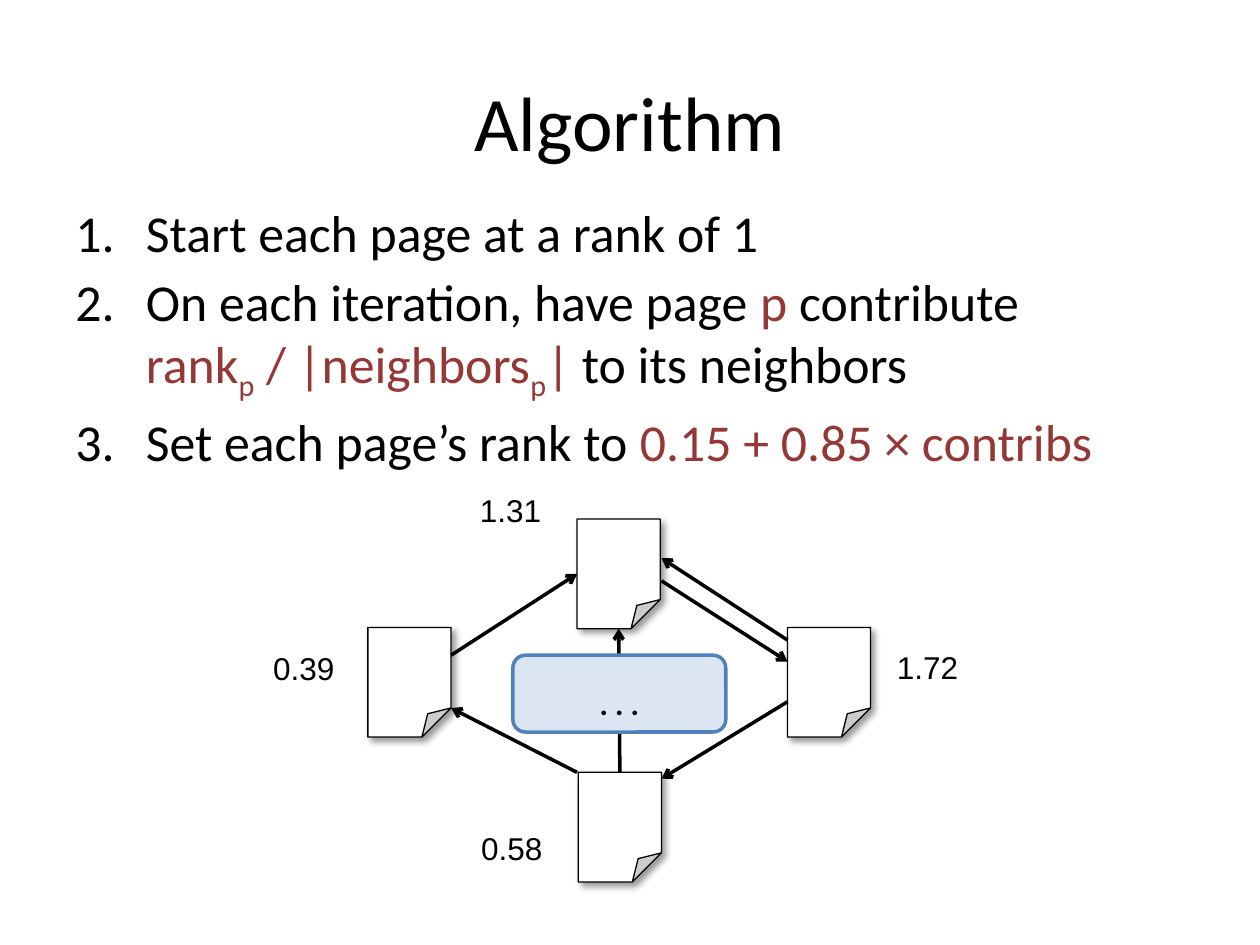
import pptx
import pptx.util
import pptx.dml.color
import pptx.enum.shapes
import pptx.enum.text
import pptx.oxml
import pptx.oxml.ns
from pptx.util import Inches

BLACK, WHITE, RED = "000000", "FFFFFF", "953735"
PAGE_WIDTH, PAGE_HEIGHT = 0.66, 0.87
SHAPES = pptx.enum.shapes.MSO_SHAPE
ALIGN = pptx.enum.text.PP_ALIGN
ANCHOR = pptx.enum.text.MSO_ANCHOR


def color(value):
    """Turn a hex string into a colour."""
    return pptx.dml.color.RGBColor.from_string(value)


def set_font(font, size, name, value=BLACK, bold=False):
    """Give a font its size, face, colour and weight."""
    font.size = pptx.util.Pt(size)
    font.name = name
    font.color.rgb = color(value)
    font.bold = bold


def add_effects(shape, content=""):
    """Give a shape its own effect list, empty by default."""
    namespace = pptx.oxml.ns.nsdecls("a")
    effects = pptx.oxml.parse_xml(f"<a:effectLst {namespace}>{content}</a:effectLst>")
    shape._element.spPr.append(effects)


def add_text(slide, text, box, size, name, align=ALIGN.LEFT, anchor=ANCHOR.TOP, wrap=True):
    """Add a text box holding one paragraph."""
    shape = slide.shapes.add_textbox(*map(Inches, box))
    frame = shape.text_frame
    frame.word_wrap = wrap
    frame.vertical_anchor = anchor
    frame.text = text
    paragraph = frame.paragraphs[0]
    paragraph.alignment = align
    set_font(paragraph.runs[0].font, size, name)


def add_steps(slide, steps, box):
    """Add a numbered list whose steps are made of coloured pieces."""
    frame = slide.shapes.add_textbox(*map(Inches, box)).text_frame
    frame.word_wrap = True
    for index, pieces in enumerate(steps):
        paragraph = frame.add_paragraph() if index else frame.paragraphs[0]
        properties = paragraph._p.get_or_add_pPr()
        properties.set("marL", str(Inches(0.56)))
        properties.set("indent", str(Inches(-0.56)))
        namespace = pptx.oxml.ns.nsdecls("a")
        properties.append(pptx.oxml.parse_xml(f'<a:buFont {namespace} typeface="+mj-lt"/>'))
        properties.append(pptx.oxml.parse_xml(f'<a:buAutoNum {namespace} type="arabicPeriod"/>'))
        if index:
            paragraph.space_before = pptx.util.Pt(4)
        for text, value, lowered in pieces:
            if text == "\n":
                paragraph.add_line_break()
                continue
            run = paragraph.add_run()
            run.text = text
            set_font(run.font, 29.6, "Calibri", value)
            if lowered:
                run._r.get_or_add_rPr().set("baseline", "-25000")


def add_box(slide, kind, box, adjustment, fill, line, width):
    """Add a filled and outlined preset shape."""
    shape = slide.shapes.add_shape(kind, *map(Inches, box))
    shape._element.spPr.prstGeom.rewrite_guides([("adj", round(adjustment * 100000))])
    shape.fill.solid()
    shape.fill.fore_color.rgb = color(fill)
    shape.line.color.rgb = color(line)
    shape.line.width = pptx.util.Pt(width)
    return shape


def add_page(slide, left, top):
    """Add a web page with a folded corner and a soft shadow."""
    box = (left, top, PAGE_WIDTH, PAGE_HEIGHT)
    page = add_box(slide, SHAPES.FOLDED_CORNER, box, 0.35, WHITE, BLACK, 0.75)
    add_effects(page, '<a:outerShdw blurRad="50800" dist="38100" dir="2700000" algn="tl" '
                      'rotWithShape="0"><a:srgbClr val="000000"><a:alpha val="40000"/>'
                      '</a:srgbClr></a:outerShdw>')
    return page


def add_arrow(slide, start, end):
    """Add a straight link that points at its end."""
    arrow = slide.shapes.add_connector(
        pptx.enum.shapes.MSO_CONNECTOR.STRAIGHT, *map(Inches, start + end))
    arrow.line.color.rgb = color(BLACK)
    arrow.line.width = pptx.util.Pt(2)
    namespace = pptx.oxml.ns.nsdecls("a")
    arrow.line._get_or_add_ln().append(
        pptx.oxml.parse_xml(f'<a:tailEnd {namespace} type="arrow"/>'))
    add_effects(arrow)
    return arrow


def add_ellipsis(slide):
    """Add the rounded box that stands for further iterations."""
    box = (4.07, 5.2, 1.69, 0.61)
    shape = add_box(slide, SHAPES.ROUNDED_RECTANGLE, box, 0.164, "DCE6F2", "4F81BD", 2)
    shape.shadow.inherit = False
    frame = shape.text_frame
    frame.margin_top = 0
    frame.vertical_anchor = ANCHOR.BOTTOM
    frame.text = ". . ."
    paragraph = frame.paragraphs[0]
    paragraph.alignment = ALIGN.CENTER
    set_font(paragraph.runs[0].font, 18, "Calibri", bold=True)


def main():
    """Build the slide and save it."""
    presentation = pptx.Presentation()
    presentation.slide_width, presentation.slide_height = Inches(10), Inches(7.5)
    slide = presentation.slides.add_slide(presentation.slide_layouts[6])

    add_text(slide, "Algorithm", (0.5, 0.33, 9, 1.25), 44, "Calibri",
             ALIGN.CENTER, ANCHOR.MIDDLE)
    steps = [
        [("Start each page at a rank of 1", BLACK, False)],
        [("On each iteration, have page ", BLACK, False), ("p", RED, False),
         (" contribute", BLACK, False), ("\n", BLACK, False),
         ("rank", RED, False), ("p", RED, True), (" / |neighbors", RED, False),
         ("p", RED, True), ("|", RED, False), (" to its neighbors", BLACK, False)],
        [("Set each page’s rank to ", BLACK, False),
         ("0.15 + 0.85 × contribs", RED, False)],
    ]
    add_steps(slide, steps, (0.5, 1.54, 9, 2.19))

    places = {"left": (2.92, 4.98), "top": (4.58, 4.12),
              "right": (6.25, 4.98), "bottom": (4.59, 6.13)}
    pages = {name: add_page(slide, *place) for name, place in places.items()}

    add_arrow(slide, (4.58, 6.13), (3.58, 5.62))
    upward = add_arrow(slide, (4.92, 6.13), (4.92, 4.98))
    upward.begin_connect(pages["bottom"], 0)
    upward.end_connect(pages["top"], 2)
    add_arrow(slide, (3.58, 5.2), (4.58, 4.55)).end_connect(pages["top"], 1)
    add_arrow(slide, (6.25, 5.08), (5.25, 4.43))
    add_arrow(slide, (5.25, 4.61), (6.25, 5.25))

    ranks = [("0.39", 2.07, 5.1), ("1.72", 7.02, 5.09),
             ("1.31", 3.71, 3.85), ("0.58", 3.72, 6.53)]
    for rank, left, top in ranks:
        add_text(slide, rank, (left, top, 0.69, 0.4), 18, "Arial", wrap=False)

    add_ellipsis(slide)
    add_arrow(slide, (6.25, 5.57), (5.25, 6.18))
    presentation.save("out.pptx")


if __name__ == "__main__":
    main()
